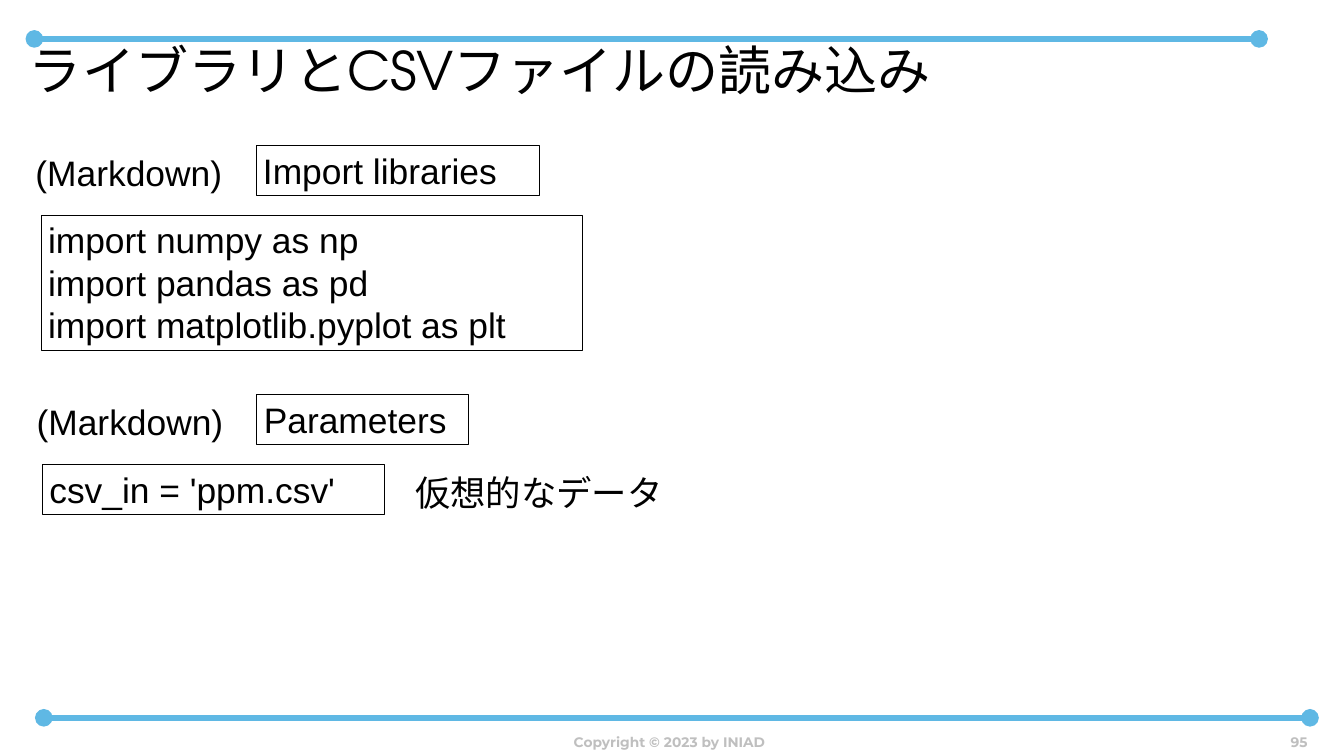
from lxml.etree import SubElement
from pptx import Presentation
from pptx.dml.color import RGBColor
from pptx.enum.shapes import MSO_CONNECTOR as Connector, MSO_SHAPE as Shape
from pptx.enum.text import MSO_ANCHOR as Anchor, MSO_AUTO_SIZE as AutoSize, PP_ALIGN as Align
from pptx.oxml.ns import qn
from pptx.util import Pt

BLACK = RGBColor(0x00, 0x00, 0x00)
GRAY = RGBColor(0xBF, 0xBF, 0xBF)
BLUE = RGBColor(0x5F, 0xB8, 0xE4)

TITLE_FONT = "TeX Gyre Adventor"
BODY_FONT = "Arial"
FOOTER_FONT = "Montserrat"

LINE_HEIGHT = 51


class SlideBuilder:
    def __init__(self, slide):
        self.slide = slide

    def rule(self, left, right, y):
        """Thick horizontal line with a dot at each end."""
        connector = self.slide.shapes.add_connector(
            Connector.STRAIGHT, Pt(left), Pt(y), Pt(right), Pt(y))
        connector.line.color.rgb = BLUE
        connector.line.width = Pt(6)
        properties = connector._element.spPr
        outline = properties.get_or_add_ln()
        for end in ("a:headEnd", "a:tailEnd"):
            SubElement(outline, qn(end), type="oval")
        SubElement(properties, qn("a:effectLst"))

    def set_text(self, shape, text, size, font, color=BLACK, align=Align.LEFT,
                 anchor=Anchor.TOP, bold=False, wrap=True):
        frame = shape.text_frame
        frame.text = text
        frame.word_wrap = wrap
        frame.auto_size = AutoSize.NONE
        frame.vertical_anchor = anchor
        for paragraph in frame.paragraphs:
            paragraph.alignment = align
            for run in paragraph.runs:
                run.font.size = Pt(size)
                run.font.name = font
                run.font.bold = bold
                run.font.color.rgb = color
        return frame

    def text_box(self, left, top, width, height):
        return self.slide.shapes.add_textbox(
            Pt(left), Pt(top), Pt(width), Pt(height))

    def title(self, text):
        frame = self.set_text(self.text_box(29.5, 38, 1252, 112), text, 54,
                              TITLE_FONT)
        frame.margin_left = frame.margin_top = 0
        frame.margin_right = frame.margin_bottom = 0

    def footer(self, text, left, width, align):
        self.set_text(self.text_box(left, 731, width, 36.5), text, 14,
                      FOOTER_FONT, GRAY, align, Anchor.BOTTOM, bold=True)

    def label(self, text, left, top, width):
        self.set_text(self.text_box(left, top, width, LINE_HEIGHT), text, 36,
                      BODY_FONT, wrap=False)

    def cell(self, text, left, top, width, height=LINE_HEIGHT):
        """Outlined notebook cell."""
        shape = self.slide.shapes.add_shape(
            Shape.RECTANGLE, Pt(left), Pt(top), Pt(width), Pt(height))
        shape.shadow.inherit = False
        shape.fill.background()
        shape.line.color.rgb = BLACK
        shape.line.width = Pt(0.75)
        self.set_text(shape, text, 36, BODY_FONT, wrap=False)


def main():
    presentation = Presentation()
    presentation.slide_width = Pt(1368)
    presentation.slide_height = Pt(769.7)
    builder = SlideBuilder(
        presentation.slides.add_slide(presentation.slide_layouts[6]))

    # Frame and title
    builder.rule(35, 1281.6, 39.6)
    builder.rule(44.6, 1333.4, 730.8)
    builder.title("ライブラリとCSVファイルの読み込み")

    # Footer
    builder.footer("Copyright © 2023 by INIAD", 31.7, 1299.6, Align.CENTER)
    builder.footer("95", 1263, 75, Align.RIGHT)

    # Libraries
    builder.cell("Import libraries", 260.6, 148.3, 288.7)
    builder.label("(Markdown)", 29, 150, 229.7)
    builder.cell("import numpy as np\nimport pandas as pd\n"
                 "import matplotlib.pyplot as plt", 41.8, 219, 551.5, 138.2)

    # Parameters
    builder.cell("Parameters", 261.4, 401.8, 215.3)
    builder.label("(Markdown)", 30.2, 404, 229.7)
    builder.cell("csv_in = 'ppm.csv'", 43.2, 473, 347.8)
    builder.label("仮想的なデータ", 415.4, 476.6, 269.3)

    presentation.save("out.pptx")


if __name__ == "__main__":
    main()
